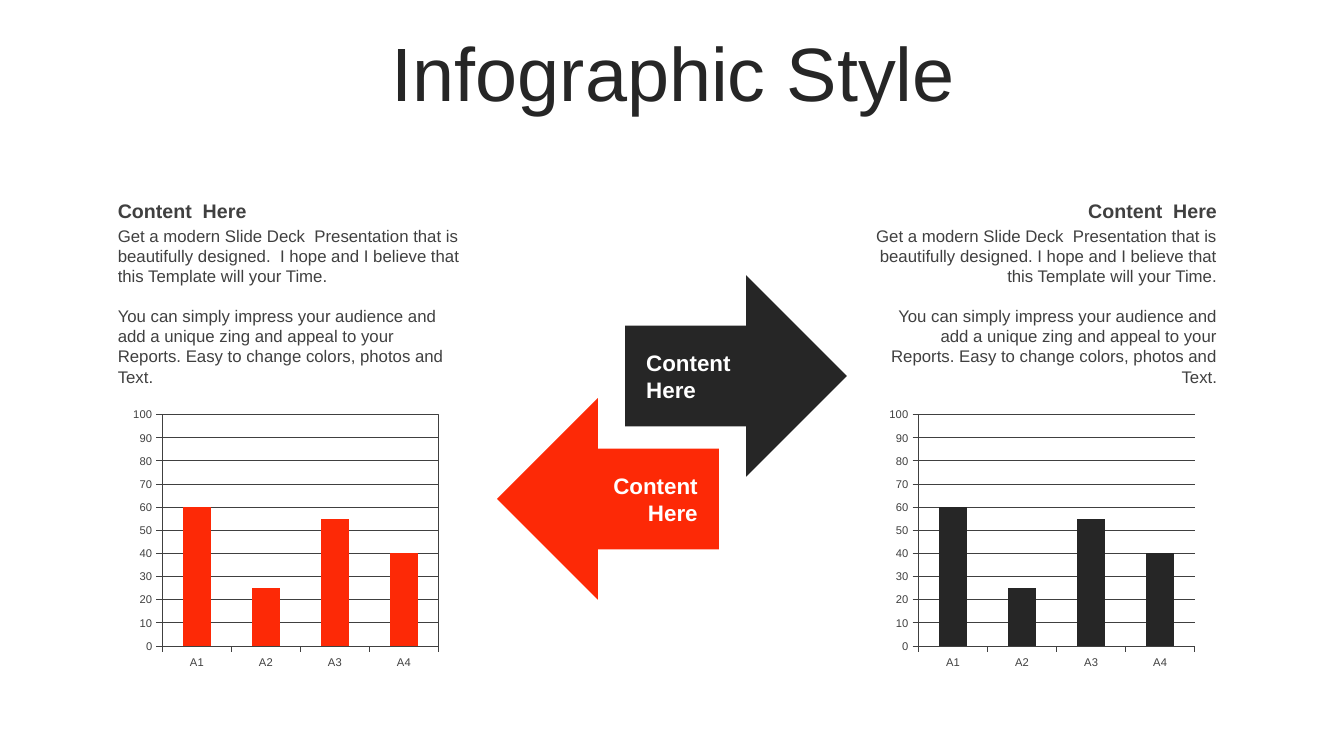
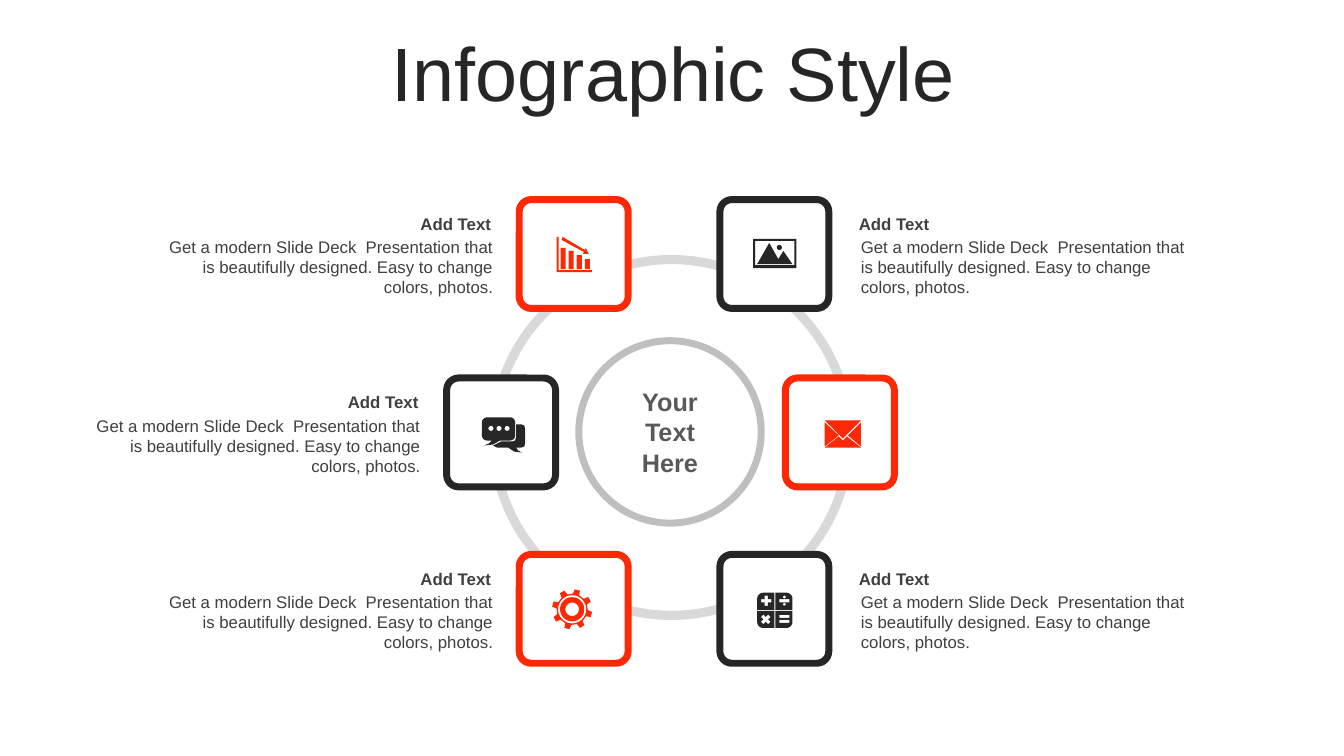
import math

import pptx
import pptx.chart.data
import pptx.dml.color
import pptx.enum.chart
import pptx.enum.shapes
import pptx.enum.text
import pptx.oxml
import pptx.util

Inches = pptx.util.Inches
Pt = pptx.util.Pt
ALIGN = pptx.enum.text.PP_ALIGN
ANCHOR = pptx.enum.text.MSO_ANCHOR
SHAPE = pptx.enum.shapes.MSO_SHAPE

RED, DARK, GREY, WHITE = "FD2906", "262626", "404040", "FFFFFF"
CHART_NS = "http://schemas.openxmlformats.org/drawingml/2006/chart"
DRAWING_NS = "http://schemas.openxmlformats.org/drawingml/2006/main"

TITLE = {"size": Pt(54), "bold": False, "color": DARK}
HEADING = {"size": Pt(14), "bold": True, "color": GREY}
BODY = {"size": Pt(12), "bold": False, "color": GREY}
CAPTION = {"size": Pt(12), "bold": True, "color": GREY}
ARROW_LABEL = {"size": Pt(16), "bold": True, "color": WHITE}
HUB_LABEL = {"size": Pt(18), "bold": True, "color": "595959"}

REPORT_TEXT = "You can simply impress your audience and add a unique zing and appeal to your Reports. Easy to change colors, photos and Text."
TILE_TEXT = "Get a modern Slide Deck  Presentation that is beautifully designed. Easy to change colors, photos."


def rgb(value):
    """Turn a hex string into a colour."""
    return pptx.dml.color.RGBColor.from_string(value)


def set_font(font, style):
    """Apply a text style to a font."""
    font.name = "Arial"
    for attribute, value in style.items():
        if attribute == "color":
            font.color.rgb = rgb(value)
        else:
            setattr(font, attribute, value)


def write(frame, lines, style, align=ALIGN.LEFT, gap=0, **frame_format):
    """Fill a text frame with paragraphs in one style."""
    settings = {"word_wrap": True, "auto_size": pptx.enum.text.MSO_AUTO_SIZE.NONE}
    for attribute, value in {**settings, **frame_format}.items():
        setattr(frame, attribute, value)
    for index, line in enumerate(lines):
        paragraph = frame.paragraphs[0] if index == 0 else frame.add_paragraph()
        paragraph.alignment = align
        paragraph.space_before = Pt(gap if index else 0)
        run = paragraph.add_run()
        run.text = line
        set_font(run.font, style)


def add_text(slide, box, lines, style, align, **options):
    """Add a text box."""
    frame = slide.shapes.add_textbox(*map(Inches, box)).text_frame
    write(frame, lines, style, align, **options)


def paint(shape, fill, line=None):
    """Give a shape a flat fill and an optional 5 pt outline."""
    shape.shadow.inherit = False
    shape.fill.solid()
    shape.fill.fore_color.rgb = rgb(fill)
    if line:
        shape.line.color.rgb = rgb(line)
        shape.line.width = Pt(5)
    else:
        shape.line.fill.background()


def add_figure(slide, kind, box, fill, line=None, adjustment=None):
    """Add a painted preset shape."""
    figure = slide.shapes.add_shape(kind, *map(Inches, box))
    paint(figure, fill, line)
    if adjustment is not None:
        figure.adjustments[0] = adjustment
    return figure


def titled_slide(deck):
    """Add a slide with the shared title."""
    slide = deck.slides.add_slide(deck.slide_layouts[5])
    title = slide.shapes.title
    for side, length in zip(("left", "top", "width", "height"), (0.35, 0.37, 12.66, 0.79)):
        setattr(title, side, Inches(length))
    write(title.text_frame, ["Infographic Style"], TITLE, ALIGN.CENTER,
          vertical_anchor=ANCHOR.MIDDLE)
    title.text_frame.paragraphs[0].line_spacing = 0.9
    return slide


def frame_plot(chart, outlined):
    """Fix the inner plot area and outline it on request."""
    plot_area = chart._chartSpace.find(f".//{{{CHART_NS}}}plotArea")
    for layout in plot_area.findall(f"{{{CHART_NS}}}layout"):
        plot_area.remove(layout)
    bounds = "".join(f'<c:{tag} val="{value}"/>' for tag, value in (
        ("layoutTarget", "inner"), ("xMode", "edge"), ("yMode", "edge"),
        ("x", 0.12), ("y", 0.08), ("w", 0.82), ("h", 0.82)))
    plot_area.insert(0, pptx.oxml.parse_xml(
        f'<c:layout xmlns:c="{CHART_NS}"><c:manualLayout>{bounds}</c:manualLayout></c:layout>'))
    if outlined:
        plot_area.append(pptx.oxml.parse_xml(
            f'<c:spPr xmlns:c="{CHART_NS}" xmlns:a="{DRAWING_NS}"><a:noFill/><a:ln w="9525">'
            f'<a:solidFill><a:srgbClr val="{GREY}"/></a:solidFill></a:ln></c:spPr>'))


def add_columns(slide, box, color, outlined):
    """Add one column chart."""
    data = pptx.chart.data.CategoryChartData()
    data.categories = ["A1", "A2", "A3", "A4"]
    data.add_series("Series 1", (60, 25, 55, 40))
    chart = slide.shapes.add_chart(pptx.enum.chart.XL_CHART_TYPE.COLUMN_CLUSTERED,
                                   *map(Inches, box), data).chart
    chart.has_legend = chart.has_title = False
    set_font(chart.font, {"size": Pt(8), "color": GREY})
    plot = chart.plots[0]
    for attribute, value in {"gap_width": 150, "overlap": 100, "vary_by_categories": False}.items():
        setattr(plot, attribute, value)
    plot.series[0].format.fill.solid()
    plot.series[0].format.fill.fore_color.rgb = rgb(color)
    scale = chart.value_axis
    scale_format = {"minimum_scale": 0, "maximum_scale": 100, "major_unit": 10,
                    "has_major_gridlines": True}
    for attribute, value in scale_format.items():
        setattr(scale, attribute, value)
    for axis in (chart.category_axis, scale):
        axis.major_tick_mark = pptx.enum.chart.XL_TICK_MARK.OUTSIDE
    for part in (chart.category_axis, scale, scale.major_gridlines):
        part.format.line.color.rgb = rgb(GREY)
        part.format.line.width = Pt(0.75)
    frame_plot(chart, outlined)


def add_report(slide, left, top, color, align, intro):
    """Add a heading, its text and its chart as one column."""
    add_text(slide, (left, top, 3.6, 0.34), ["Content  Here"], HEADING, align,
             vertical_anchor=ANCHOR.MIDDLE)
    add_text(slide, (left, top + 0.27, 3.6, 1.7), [intro, REPORT_TEXT], BODY, align, gap=14)
    add_columns(slide, (left + 0.14, top + 1.97, 3.34, 2.8), color, align == ALIGN.LEFT)


def add_arrow(slide, kind, left, top, color, align):
    """Add a labelled block arrow."""
    arrow = add_figure(slide, kind, (left, top, 2.2, 2), color)
    write(arrow.text_frame, ["Content", "Here"], ARROW_LABEL, align,
          margin_left=Inches(0.21), margin_right=Inches(0.21), vertical_anchor=ANCHOR.MIDDLE)


def build_arrows_slide(deck):
    """Build the slide with two arrows and two reports."""
    slide = titled_slide(deck)
    add_arrow(slide, SHAPE.RIGHT_ARROW, 6.2, 2.73, DARK, ALIGN.LEFT)
    add_arrow(slide, SHAPE.LEFT_ARROW, 4.93, 3.95, RED, ALIGN.RIGHT)
    for left, color, align, space in ((1.07, RED, ALIGN.LEFT, "  "),
                                      (8.57, DARK, ALIGN.RIGHT, " ")):
        intro = ("Get a modern Slide Deck  Presentation that is beautifully designed."
                 f"{space}I hope and I believe that this Template will your Time.")
        add_report(slide, left, 1.92, color, align, intro)


def polar(center, radius, degrees):
    """Return the point at a clockwise angle from the top."""
    angle = math.radians(degrees)
    return center[0] + radius * math.sin(angle), center[1] - radius * math.cos(angle)


def circle(x, y, radius):
    """Return the outline of a circle."""
    return [polar((x, y), radius, degrees) for degrees in range(0, 360, 10)]


def box_outline(left, top, right, bottom, radii=(0, 0, 0, 0)):
    """Return a rectangle whose corners are rounded clockwise from top left."""
    corners = ((left, top, 1, 1), (right, top, -1, 1), (right, bottom, -1, -1), (left, bottom, 1, -1))
    outline = []
    for index, ((x, y, inward, down), radius) in enumerate(zip(corners, radii)):
        center = x + inward * radius, y + down * radius
        sweep = range(0, 91, 15) if radius else (0,)
        outline += [polar(center, radius, 270 + 90 * index + turn) for turn in sweep]
    return outline


def cross(x, y, turn):
    """Return the outline of a plus sign, turned by an angle."""
    arm = math.degrees(math.atan2(1.7, 5))
    return [polar((x, y), radius, 90 * quarter + turn + offset)
            for quarter in range(4)
            for radius, offset in ((5.3, -arm), (5.3, arm), (2.4, 45))]


def gear_rim(center):
    """Return the outline of a gear with eight teeth."""
    return [polar(center, radius, 15 + 45 * tooth + offset)
            for tooth in range(8)
            for radius, offset in ((15.5, -12), (20, -7.5), (20, 7.5), (15.5, 12))]


FALLING_BARS = [
    [(-17, -17), (-15, -17), (-15, 16), (18, 16), (18, 18), (-17, 18)],
    [(-11, -17), (11, -4), (12, -6), (15, 0), (9, 0), (10, -2), (-12, -14)],
    *(box_outline(8 * index - 13, top, 8 * index - 8, 15)
      for index, top in enumerate((-6, -3, 1, 5))),
]
LANDSCAPE = [
    box_outline(-21, -15, 22, 14), box_outline(-19, -13, 20, 11), circle(5, -6.5, 2.5),
    [(-5, -11), (4, 5), (9, -3), (18, 10), (-17, 10)],
]
CHAT = [
    box_outline(-19, -15, 14, 8, (5, 5, 5, 5)),
    *(circle(x, -4, 2.5) for x in (-10, -2, 6)),
    [(-9, 8), (-1, 8), (-8, 12), (-17, 13), (-12, 11)],
    [(15, -8), (20, -8), (23, -7), (24, -3), (24, 11), (23, 14), (20, 15), (15, 15),
     (17, 18), (21, 20), (13, 19), (7, 15), (-4, 15), (-8, 13), (0, 9), (11, 9), (14, 8), (15, 4)],
]
ENVELOPE = [
    [(7, 4), (21, 15), (-15, 15), (-1, 4), (3, 8)],
    [(21, -10), (21, 14), (8, 3)],
    [(-15, -10), (-1, 3), (-15, 14)],
    [(-15, -12), (21, -12), (3, 6)],
]
GEAR = [gear_rim((-1.5, 0.5)), *(circle(-1.5, 0.5, radius) for radius in (14, 12, 6.7))]
CALCULATOR = [
    box_outline(-17, -16, 0, 1, (6, 0, 0, 0)), box_outline(1, -16, 18, 1, (0, 6, 0, 0)),
    box_outline(1, 2, 18, 19, (0, 0, 6, 0)), box_outline(-17, 2, 0, 19, (0, 0, 0, 6)),
    cross(-8, -8, 0), cross(-8.5, 10.5, 45),
    circle(10, -11.7, 1.4), box_outline(5, -9.5, 15, -6.5), circle(10, -4.5, 1.4),
    box_outline(5, 6, 15, 9), box_outline(5, 11, 15, 14),
]


def add_icon(slide, x, y, outlines, color):
    """Draw outlines, in hundredths of an inch, around a point."""
    contours = [[(round(10 * across), round(10 * down)) for across, down in outline]
                for outline in outlines]
    builder = slide.shapes.build_freeform(*contours[0][0], scale=Inches(1) / 1000)
    for index, (start, *others) in enumerate(contours):
        if index:
            builder.move_to(*start)
        builder.add_line_segments(others, close=True)
    paint(builder.convert_to_shape(Inches(x), Inches(y)), color)


def add_tile(slide, x, y, color, icon, caption_side):
    """Add a tile around a point, with its icon and caption."""
    add_figure(slide, SHAPE.ROUNDED_RECTANGLE, (x - 0.54, y - 0.54, 1.08, 1.08),
               WHITE, color, 0.11)
    add_icon(slide, x, y, icon, color)
    if caption_side:
        left = x - 4.22 if caption_side == ALIGN.RIGHT else x + 0.74
        add_text(slide, (left, y - 0.45, 3.5, 0.3), ["Add Text"], CAPTION, caption_side)
        add_text(slide, (left + 0.02, y - 0.22, 3.5, 0.71), [TILE_TEXT], BODY, caption_side)


def build_ring_slide(deck):
    """Build the slide with six tiles around a hub."""
    slide = titled_slide(deck)
    hub = add_figure(slide, SHAPE.OVAL, (5.74, 3.38, 1.81, 1.81), WHITE, "BFBFBF")
    write(hub.text_frame, ["Your", "Text", "Here"], HUB_LABEL, ALIGN.CENTER,
          vertical_anchor=ANCHOR.MIDDLE)
    add_figure(slide, SHAPE.DONUT, (4.85, 2.53, 3.62, 3.62), "D9D9D9", adjustment=0.025)
    tiles = (
        (5.69, 2.52, RED, FALLING_BARS, ALIGN.RIGHT),
        (7.68, 2.52, DARK, LANDSCAPE, ALIGN.LEFT),
        (4.97, 4.29, DARK, CHAT, ALIGN.RIGHT),
        (8.33, 4.29, RED, ENVELOPE, None),
        (5.69, 6.04, RED, GEAR, ALIGN.RIGHT),
        (7.68, 6.04, DARK, CALCULATOR, ALIGN.LEFT),
    )
    for tile in tiles:
        add_tile(slide, *tile)


def main():
    """Build and save the deck."""
    deck = pptx.Presentation()
    deck.slide_width, deck.slide_height = Inches(13.33), Inches(7.5)
    build_arrows_slide(deck)
    build_ring_slide(deck)
    deck.save("out.pptx")


if __name__ == "__main__":
    main()
